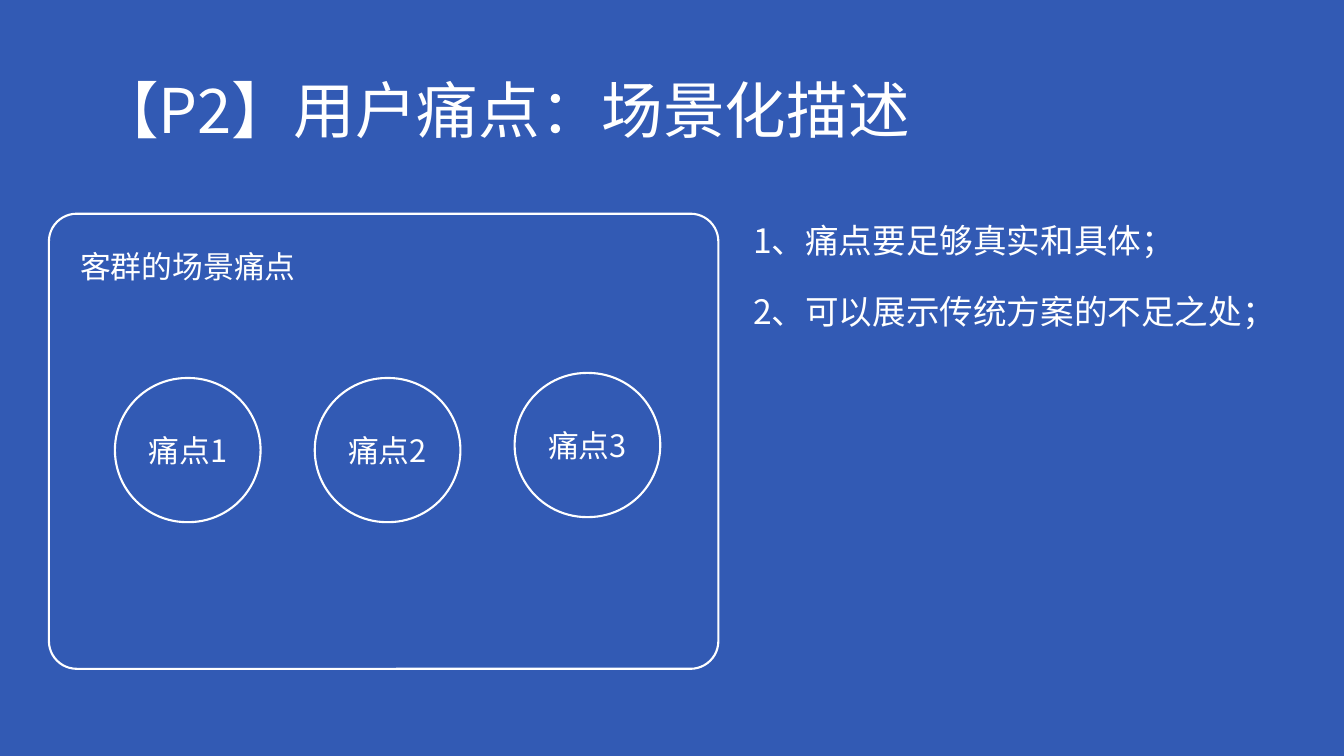
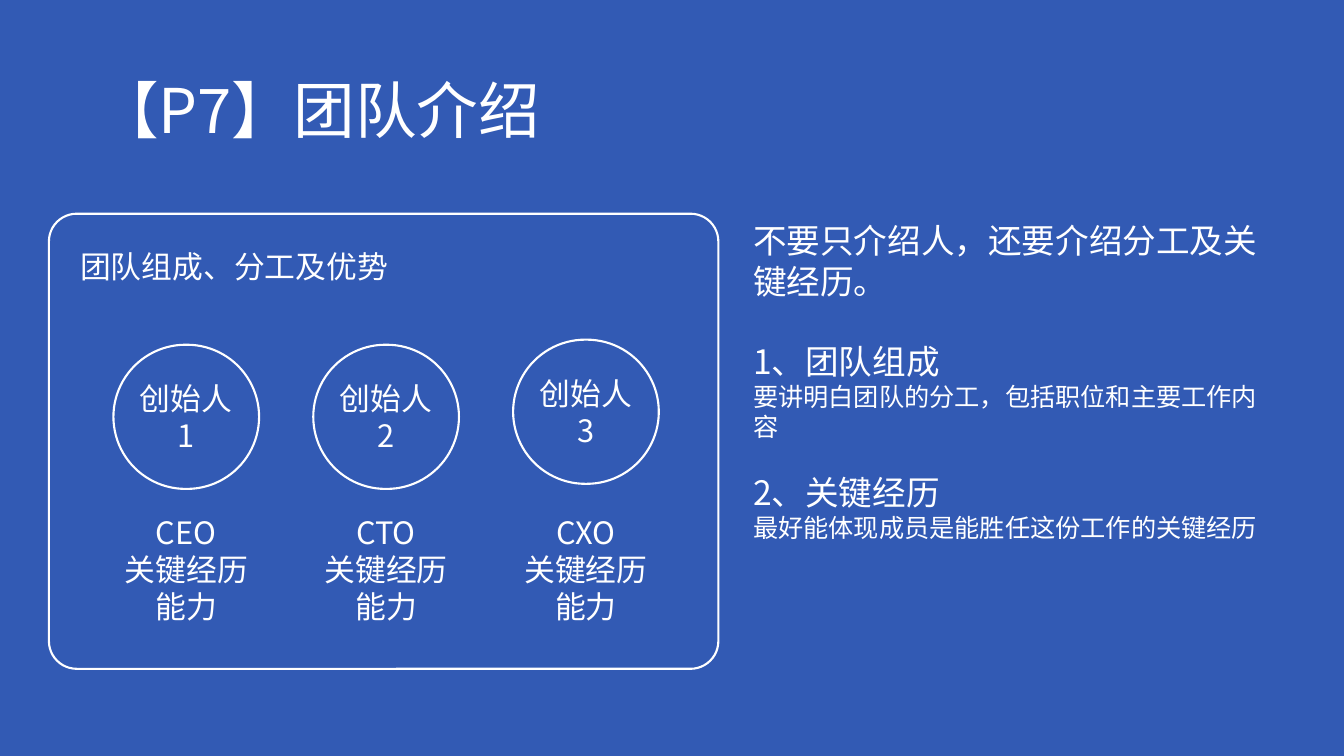
from dataclasses import dataclass

from lxml import etree
from pptx import Presentation
from pptx.dml.color import RGBColor
from pptx.enum.shapes import MSO_SHAPE
from pptx.enum.text import MSO_ANCHOR, MSO_AUTO_SIZE, PP_ALIGN
from pptx.oxml.ns import qn
from pptx.util import Inches, Pt

ROUND_RECT = MSO_SHAPE.ROUNDED_RECTANGLE
LEFT, CENTER = PP_ALIGN.LEFT, PP_ALIGN.CENTER
TOP, MIDDLE = MSO_ANCHOR.TOP, MSO_ANCHOR.MIDDLE
FIXED, GROW = MSO_AUTO_SIZE.NONE, MSO_AUTO_SIZE.SHAPE_TO_FIT_TEXT
TITLE_ONLY = 5


@dataclass(frozen=True)
class Theme:
    background: RGBColor = RGBColor(0x32, 0x5A, 0xB4)
    ink: RGBColor = RGBColor(0xFF, 0xFF, 0xFF)
    font: str = "Noto Sans CJK SC"
    title: int = 88
    note: int = 48
    label: int = 44
    detail: int = 36
    outline: int = 3
    line_height: float = 1.2


@dataclass(frozen=True)
class Para:
    text: str
    size: int
    before: float = 0


THEME = Theme()
NOTE_GAP = THEME.note * THEME.line_height
DETAIL_GAP = THEME.detail * THEME.line_height

# Lengths are columns and rows of a 100 x 100 grid over the slide.
GRID = 100
TITLE_BOX = (6.86, 5.33, 86.27, 19.33)
PANEL_BOX = (3.64, 28.27, 49.81, 60.2)
HEADING_BOX = (5.59, 32.47, 39.38, 5.6)
NOTES_BOX = (55.66, 28.8, 39.38)
CIRCLE_SIZE = (10.84, 19.07)
CIRCLE_PITCH = 14.87
LAST_CIRCLE_LIFT = 0.67
CAPTION_TOP = 67.67
CAPTION_SIZE = (12.12, 15.47)


class Deck:
    def __init__(self, theme):
        self.theme = theme
        self.prs = Presentation()
        self.prs.slide_width, self.prs.slide_height = Inches(26.66), Inches(15)
        fill = self.prs.slide_master.background.fill
        fill.solid()
        fill.fore_color.rgb = theme.background
        self.slide = None

    def box(self, x, y, w, h):
        """Turn grid columns and rows into slide lengths."""
        col, row = self.prs.slide_width / GRID, self.prs.slide_height / GRID
        return int(x * col), int(y * row), int(w * col), int(h * row)

    def set_text(self, sp, paras, align=LEFT, anchor=TOP, auto_size=FIXED, spacing=None):
        tf = sp.text_frame
        frame = {"word_wrap": True, "vertical_anchor": anchor, "auto_size": auto_size}
        for name, value in frame.items():
            setattr(tf, name, value)
        for i, para in enumerate(paras):
            p = tf.add_paragraph() if i else tf.paragraphs[0]
            layout = {"alignment": align, "space_before": Pt(para.before),
                      "line_spacing": spacing}
            for name, value in layout.items():
                setattr(p, name, value)
            r = p.add_run()
            r.text = para.text
            r.font.color.rgb = self.theme.ink
            for name, value in {"size": Pt(para.size), "name": self.theme.font}.items():
                setattr(r.font, name, value)
            ea = etree.SubElement(r._r.get_or_add_rPr(), qn("a:ea"))
            ea.set("typeface", self.theme.font)

    def add_slide(self, title):
        self.slide = self.prs.slides.add_slide(self.prs.slide_layouts[TITLE_ONLY])
        sp = self.slide.shapes.title
        sp.left, sp.top, sp.width, sp.height = self.box(*TITLE_BOX)
        self.set_text(sp, [Para(title, self.theme.title)], anchor=MIDDLE, spacing=0.9)

    def outline(self, box, rounding):
        sp = self.slide.shapes.add_shape(ROUND_RECT, *self.box(*box))
        sp.adjustments[0] = rounding
        sp.shadow.inherit = False
        sp.fill.background()
        sp.line.color.rgb = self.theme.ink
        sp.line.width = Pt(self.theme.outline)
        return sp

    def text(self, box, paras, align=LEFT):
        sp = self.slide.shapes.add_textbox(*self.box(*box))
        self.set_text(sp, paras, align, auto_size=GROW)

    def panel(self, heading):
        self.outline(PANEL_BOX, 0.061)
        self.text(HEADING_BOX, [Para(heading, self.theme.label)])

    def circles(self, left, top, labels):
        """Draw an even row of circles, the last one slightly raised."""
        for i, label in enumerate(labels):
            y = top - LAST_CIRCLE_LIFT if i == len(labels) - 1 else top
            sp = self.outline((left + i * CIRCLE_PITCH, y, *CIRCLE_SIZE), 0.5)
            self.set_text(sp, [Para(label, self.theme.label)], CENTER, MIDDLE)

    def captions(self, circles_left, captions):
        """Centre a caption under each circle of a row."""
        left = circles_left + (CIRCLE_SIZE[0] - CAPTION_SIZE[0]) / 2
        for i, lines in enumerate(captions):
            self.text((left + i * CIRCLE_PITCH, CAPTION_TOP, *CAPTION_SIZE),
                      [Para(line, self.theme.label) for line in lines], CENTER)

    def notes(self, height, paras):
        self.text((*NOTES_BOX, height), paras)


def pain_points(deck):
    deck.add_slide("【P2】用户痛点：场景化描述")
    deck.panel("客群的场景痛点")
    deck.circles(8.55, 50, [f"痛点{n}" for n in (1, 2, 3)])
    deck.notes(15.47, [
        Para("1、痛点要足够真实和具体；", THEME.note),
        Para("2、可以展示传统方案的不足之处；", THEME.note, DETAIL_GAP),
    ])


def team(deck):
    left = 8.44
    deck.add_slide("【P7】团队介绍")
    deck.panel("团队组成、分工及优势")
    deck.circles(left, 45.6, [f"创始人{n}" for n in (1, 2, 3)])
    deck.captions(left, [(role, "关键经历", "能力") for role in ("CEO", "CTO", "CXO")])
    deck.notes(43.73, [
        Para("不要只介绍人，还要介绍分工及关键经历。", THEME.note),
        Para("1、团队组成", THEME.note, NOTE_GAP),
        Para("要讲明白团队的分工，包括职位和主要工作内容", THEME.detail),
        Para("2、关键经历", THEME.note, DETAIL_GAP),
        Para("最好能体现成员是能胜任这份工作的关键经历", THEME.detail),
    ])


def main():
    deck = Deck(THEME)
    pain_points(deck)
    team(deck)
    deck.prs.save("out.pptx")


if __name__ == "__main__":
    main()
